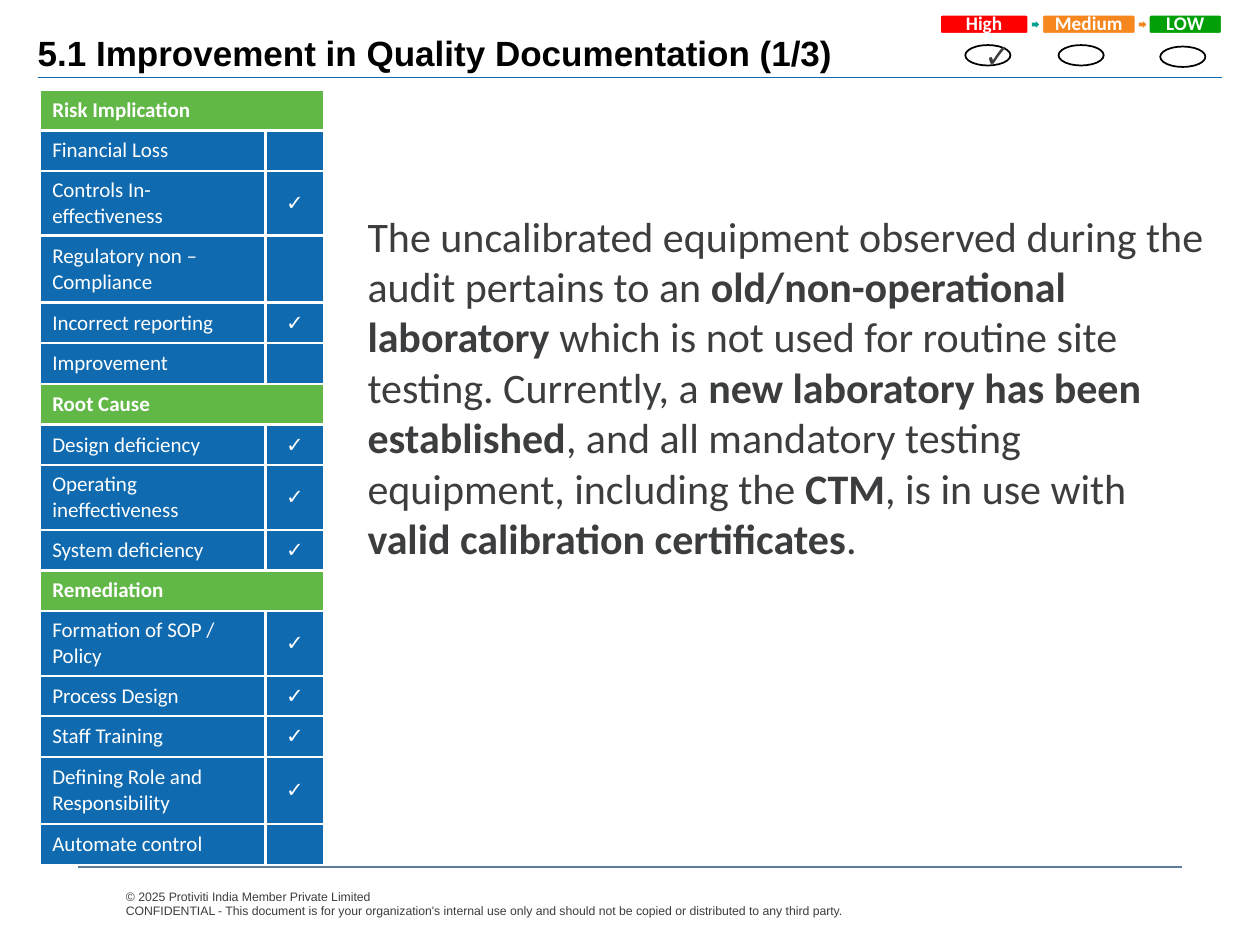
import pptx
import pptx.util
import pptx.dml.color
import pptx.enum.shapes
import pptx.enum.text
import pptx.oxml.ns
import lxml.etree
from pptx.util import Cm, Pt

MSO = pptx.enum.shapes.MSO_SHAPE
ALIGN = pptx.enum.text.PP_ALIGN
MIDDLE = pptx.enum.text.MSO_ANCHOR.MIDDLE
qn = pptx.oxml.ns.qn

COLORS = {
    "blue": "0F6AB0", "green": "62B847", "white": "FFFFFF", "black": "000000",
    "text": "3C3D3E", "rule": "5D7B9A", "red": "FF0000", "orange": "F6871F",
    "low": "02A006", "teal": "00A28F",
}
TITLE = "5.1 Improvement in Quality Documentation (1/3)"
TICK = "✓"

# (section, [(label, ticked, row height in cm)])
SINGLE, DOUBLE, TALL = 0.82, 1.3, 1.35
SECTIONS = [
    ("Risk Implication", [
        ("Financial Loss", False, SINGLE),
        ("Controls In-effectiveness", True, DOUBLE),
        ("Regulatory non – Compliance", False, TALL),
        ("Incorrect reporting", True, SINGLE),
        ("Improvement", False, SINGLE)]),
    ("Root Cause", [
        ("Design deficiency", True, SINGLE),
        ("Operating ineffectiveness", True, DOUBLE),
        ("System deficiency", True, SINGLE)]),
    ("Remediation", [
        ("Formation of SOP / Policy", True, DOUBLE),
        ("Process Design", True, SINGLE),
        ("Staff Training", True, SINGLE),
        ("Defining Role and Responsibility", True, TALL),
        ("Automate control", False, SINGLE)]),
]
# (text, bold)
FINDING = [
    ("The uncalibrated equipment observed during the audit pertains to an ", False),
    ("old/non-operational laboratory", True),
    (" which is not used for routine site testing. Currently, a ", False),
    ("new laboratory has been established", True),
    (", and all mandatory testing equipment, including the ", False),
    ("CTM", True),
    (", is in use with ", False),
    ("valid calibration certificates", True),
    (".", False),
]
FOOTER = [
    "© 2025 Protiviti India Member Private Limited",
    "CONFIDENTIAL - This document is for your organization's internal use only "
    "and should not be copied or distributed to any third party.",
]
# (label, color, left, width, oval left, oval top, ticked), lengths in cm
RATINGS = [
    ("High", "red", 18.95, 1.78, 19.46, 0.91, True),
    ("Medium", "orange", 21.01, 1.88, 21.34, 0.91, False),
    ("LOW", "low", 23.16, 1.47, 23.39, 0.94, False),
]
ARROWS = [("teal", 20.8), ("orange", 22.96)]


def rgb(name):
    return pptx.dml.color.RGBColor.from_string(COLORS[name])


def add_run(p, text, size, color, font="Calibri", bold=False):
    r = p.add_run()
    r.text = text
    r.font.size, r.font.name, r.font.bold = Pt(size), font, bold
    r.font.color.rgb = rgb(color)


def set_margins(tf, size):
    tf.margin_left = tf.margin_right = tf.margin_top = tf.margin_bottom = Cm(size)


def add_rule(slide, x1, x2, y, color, width):
    line = slide.shapes.add_connector(
        pptx.enum.shapes.MSO_CONNECTOR.STRAIGHT, Cm(x1), Cm(y), Cm(x2), Cm(y))
    line.line.color.rgb = rgb(color)
    line.line.width = Pt(width)
    lxml.etree.SubElement(line._element.spPr, qn("a:effectLst"))


def add_shape(slide, kind, left, top, width, height, fill=None, line=None):
    sp = slide.shapes.add_shape(kind, Cm(left), Cm(top), Cm(width), Cm(height))
    sp.shadow.inherit = False
    if fill:
        sp.fill.solid()
        sp.fill.fore_color.rgb = rgb(fill)
    else:
        sp.fill.background()
    if line:
        sp.line.color.rgb = rgb(line)
        sp.line.width = Pt(1)
    else:
        sp.line.fill.background()
    return sp


def add_text_box(slide, left, top, width, height):
    tf = slide.shapes.add_textbox(Cm(left), Cm(top), Cm(width), Cm(height)).text_frame
    tf.word_wrap = True
    return tf


def add_ratings(slide):
    for label, color, left, width, oval_left, oval_top, ticked in RATINGS:
        pill = add_shape(slide, MSO.ROUNDED_RECTANGLE, left, 0.3, width, 0.38, color, "white")
        pill.adjustments[0] = 0.1
        tf = pill.text_frame
        set_margins(tf, 0.13)
        tf.vertical_anchor = MIDDLE
        p = tf.paragraphs[0]
        p.alignment, p.line_spacing = ALIGN.CENTER, 0.9
        add_run(p, label, 11, "white", bold=True)

        oval = add_shape(slide, MSO.OVAL, oval_left, oval_top, 0.91, 0.41, line="black")
        if ticked:
            oval.text_frame.vertical_anchor = MIDDLE
            p = oval.text_frame.paragraphs[0]
            p.alignment = ALIGN.CENTER
            add_run(p, TICK, 18, "text", "Arial")
    for color, left in ARROWS:
        arrow = add_shape(slide, MSO.RIGHT_ARROW, left, 0.43, 0.15, 0.13, color)
        arrow.adjustments[0] = 0.6


def style_cell(cell, fill):
    tcPr = cell._tc.get_or_add_tcPr()
    for side in ("lnL", "lnR", "lnT", "lnB"):
        ln = lxml.etree.SubElement(tcPr, qn("a:" + side), w=str(Pt(1.5)))
        solid = lxml.etree.SubElement(ln, qn("a:solidFill"))
        lxml.etree.SubElement(solid, qn("a:srgbClr"), val=COLORS["white"])
    cell.fill.solid()
    cell.fill.fore_color.rgb = rgb(fill)
    cell.vertical_anchor = MIDDLE


def add_checklist(slide):
    rows = []
    for section, items in SECTIONS:
        rows.append((section, None, SINGLE))
        rows.extend(items)
    total = sum(height for _, _, height in rows)
    table = slide.shapes.add_table(
        len(rows), 2, Cm(0.8), Cm(1.81), Cm(5.74), Cm(total)).table
    table.columns[0].width, table.columns[1].width = Cm(4.55), Cm(1.19)
    for i, (label, ticked, height) in enumerate(rows):
        table.rows[i].height = Cm(height)
        is_section = ticked is None
        name, mark = table.cell(i, 0), table.cell(i, 1)
        for cell in (name, mark):
            style_cell(cell, "green" if is_section else "blue")
        add_run(name.text_frame.paragraphs[0], label, 12, "white", bold=is_section)
        p = mark.text_frame.paragraphs[0]
        if is_section:
            name.merge(mark)
        if ticked:
            p.alignment = ALIGN.CENTER
            add_run(p, TICK, 12, "white", "Arial")
        else:  # keeps an empty cell from stretching its row
            lxml.etree.SubElement(p._p, qn("a:endParaRPr"), sz="1200")


def main():
    prs = pptx.Presentation()
    prs.slide_width, prs.slide_height = Cm(25.4), Cm(19.05)
    slide = prs.slides.add_slide(prs.slide_layouts[5])

    add_rule(slide, 23.83, 1.57, 17.48, "rule", 1)
    tf = add_text_box(slide, 2.54, 17.91, 15.93, 0.61)
    set_margins(tf, 0)
    tf.vertical_anchor = MIDDLE
    p = tf.paragraphs[0]
    for i, text in enumerate(FOOTER):
        if i:
            p.add_line_break()
        add_run(p, text, 7, "text", "Arial")

    title = slide.shapes.title
    title.left, title.top, title.width, title.height = Cm(0.76), Cm(0.18), Cm(18.67), Cm(1.75)
    tf = title.text_frame
    set_margins(tf, 0)
    tf.auto_size = pptx.enum.text.MSO_AUTO_SIZE.NONE
    tf.vertical_anchor = MIDDLE
    tf.paragraphs[0].alignment = ALIGN.LEFT
    add_run(tf.paragraphs[0], TITLE, 20, "black", "Arial", True)
    add_rule(slide, 0.76, 24.64, 1.57, "blue", 0.5)

    add_ratings(slide)
    add_checklist(slide)

    tf = add_text_box(slide, 7.16, 4.11, 17.48, 8.2)
    for text, bold in FINDING:
        add_run(tf.paragraphs[0], text, 24, "text", bold=bold)

    prs.save("out.pptx")


if __name__ == "__main__":
    main()
